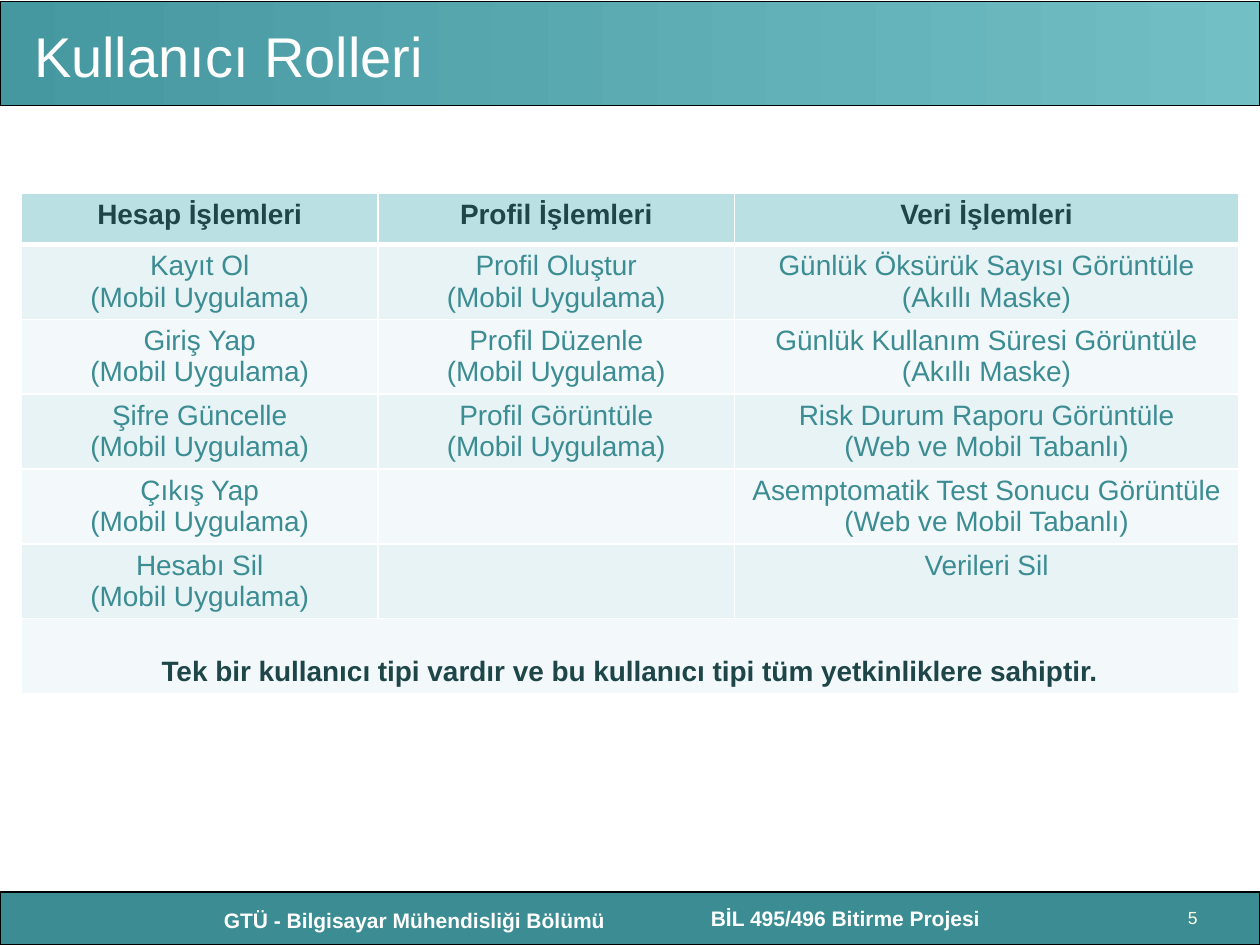
from lxml import etree
from pptx import Presentation
from pptx.dml.color import RGBColor
from pptx.enum.shapes import MSO_SHAPE
from pptx.enum.text import MSO_ANCHOR, PP_ALIGN
from pptx.oxml.ns import qn
from pptx.util import Inches, Pt

RECTANGLE = MSO_SHAPE.RECTANGLE
TOP, MIDDLE, BOTTOM = MSO_ANCHOR.TOP, MSO_ANCHOR.MIDDLE, MSO_ANCHOR.BOTTOM
LEFT, CENTER = PP_ALIGN.LEFT, PP_ALIGN.CENTER

FONT = "Arial"
WHITE, BLACK, CREAM = "FFFFFF", "000000", "FFFFE5"
TEAL, DARK_TEAL = "3C8C93", "1E4649"
TITLE_GRADIENT = ("4597A0", "72BFC5")
HEADER_FILL, ROW_FILLS = "BBE0E3", ("E7F3F4", "F3F9FA")

HEADER_TEXT = {"size": Pt(16), "bold": True, "color": DARK_TEAL}
BODY_TEXT = {"size": Pt(16), "bold": False, "color": TEAL}
FOOTER_TEXT = {"size": Pt(12), "bold": True, "color": WHITE}
NUMBER_TEXT = {"size": Pt(10), "bold": False, "color": CREAM}
TITLE_TEXT = {"size": Pt(32), "bold": False, "color": WHITE}

MOBILE = "(Mobil Uygulama)"
MASK = "(Akıllı Maske)"
WEB_MOBILE = "(Web ve Mobil Tabanlı)"
HEADERS = ["Hesap İşlemleri", "Profil İşlemleri", "Veri İşlemleri"]
OPERATIONS = [
    [("Kayıt Ol", MOBILE), ("Profil Oluştur", MOBILE),
     ("Günlük Öksürük Sayısı Görüntüle", MASK)],
    [("Giriş Yap", MOBILE), ("Profil Düzenle", MOBILE),
     ("Günlük Kullanım Süresi Görüntüle", MASK)],
    [("Şifre Güncelle", MOBILE), ("Profil Görüntüle", MOBILE),
     ("Risk Durum Raporu Görüntüle", WEB_MOBILE)],
    [("Çıkış Yap", MOBILE), (), ("Asemptomatik Test Sonucu Görüntüle", WEB_MOBILE)],
    [("Hesabı Sil", MOBILE), (), ("Verileri Sil",)],
]
SUMMARY = "Tek bir kullanıcı tipi vardır ve bu kullanıcı tipi tüm yetkinliklere sahiptir."


def rgb(color):
    return RGBColor.from_string(color)


def write(frame, lines, style, align=CENTER):
    frame.text = "\n".join(lines)
    for paragraph in frame.paragraphs:
        paragraph.alignment = align
        for key, value in style.items():
            if key == "color":
                paragraph.font.color.rgb = rgb(value)
            else:
                setattr(paragraph.font, key, value)
        paragraph.font.name = FONT


def add_bar(slide, box):
    bar = slide.shapes.add_shape(RECTANGLE, *map(Inches, box))
    bar.shadow.inherit = False
    bar.line.color.rgb = rgb(BLACK)
    bar.line.width = Pt(0.75)
    return bar


def add_label(slide, box, text, style, align=CENTER):
    frame = slide.shapes.add_textbox(*map(Inches, box)).text_frame
    frame.word_wrap = True
    frame.vertical_anchor = TOP
    write(frame, [text], style, align)


def add_title_band(slide, box):
    left, top, width, height = box
    band = add_bar(slide, box)
    band.fill.gradient()
    band.fill.gradient_angle = 0
    for stop, color, position in zip(band.fill.gradient_stops, TITLE_GRADIENT, (0, 1)):
        stop.color.rgb = rgb(color)
        stop.position = position

    # Title stands in front of its band
    title = slide.shapes.title
    slide.shapes._spTree.append(title._element)
    title.left, title.top = Inches(left + 0.17), Inches(top + 0.11)
    title.width, title.height = Inches(width - 1.42), Inches(height - 0.2)
    title.text_frame.vertical_anchor = MIDDLE
    write(title.text_frame, ["Kullanıcı Rolleri"], TITLE_TEXT, LEFT)


def add_footer(slide, box):
    left, top, width, _ = box
    band = add_bar(slide, box)
    band.fill.solid()
    band.fill.fore_color.rgb = rgb(TEAL)
    middle = left + width / 2
    add_label(slide, (middle - 3.42, top + 0.07, 3.42, 0.3),
              "GTÜ - Bilgisayar Mühendisliği Bölümü", FOOTER_TEXT)
    add_label(slide, (middle, top + 0.06, 3.42, 0.3),
              "BİL 495/496 Bitirme Projesi", FOOTER_TEXT)
    add_label(slide, (left + width - 0.67, top + 0.09, 0.5, 0.08), "5", NUMBER_TEXT, LEFT)


def add_borders(cell, bottom_width):
    properties = cell._tc.get_or_add_tcPr()
    for side, width in (("L", 1), ("R", 1), ("T", 1), ("B", bottom_width)):
        line = etree.SubElement(properties, qn(f"a:ln{side}"), w=str(Pt(width)))
        fill = etree.SubElement(line, qn("a:solidFill"))
        etree.SubElement(fill, qn("a:srgbClr"), val=WHITE)


def fill_cell(cell, lines, style, color, bottom_width=1):
    add_borders(cell, bottom_width)
    cell.fill.solid()
    cell.fill.fore_color.rgb = rgb(color)
    write(cell.text_frame, lines, style)


def add_roles_table(slide, box):
    left, top, width, height = box
    row_count = len(OPERATIONS) + 2
    table = slide.shapes.add_table(row_count, len(HEADERS), *map(Inches, box)).table
    header_height, data_width = 0.41, 4
    narrow = (width - data_width) / 2
    for column, column_width in zip(table.columns, (narrow, narrow, data_width)):
        column.width = Inches(column_width)
    for row in table.rows:
        row.height = Inches((height - header_height) / (row_count - 1))
    table.rows[0].height = Inches(header_height)

    # Header and operations
    for column, heading in enumerate(HEADERS):
        fill_cell(table.cell(0, column), [heading], HEADER_TEXT, HEADER_FILL, 3)
    for row, operations in enumerate(OPERATIONS, 1):
        for column, lines in enumerate(operations):
            fill_cell(table.cell(row, column), lines, BODY_TEXT, ROW_FILLS[(row - 1) % 2])

    # Summary across all columns
    last = row_count - 1
    summary = table.cell(last, 0)
    summary.merge(table.cell(last, len(HEADERS) - 1))
    fill_cell(summary, [SUMMARY], HEADER_TEXT, ROW_FILLS[1])
    summary.vertical_anchor = BOTTOM


def main():
    deck = Presentation()
    deck.slide_width, deck.slide_height = Inches(10), Inches(7.5)
    slide = deck.slides.add_slide(deck.slide_layouts[5])
    add_footer(slide, (0, 7.08, 10, 0.42))
    add_title_band(slide, (0, 0.01, 10, 0.83))
    add_roles_table(slide, (0.17, 1.53, 9.66, 3.97))
    deck.save("out.pptx")


if __name__ == "__main__":
    main()
